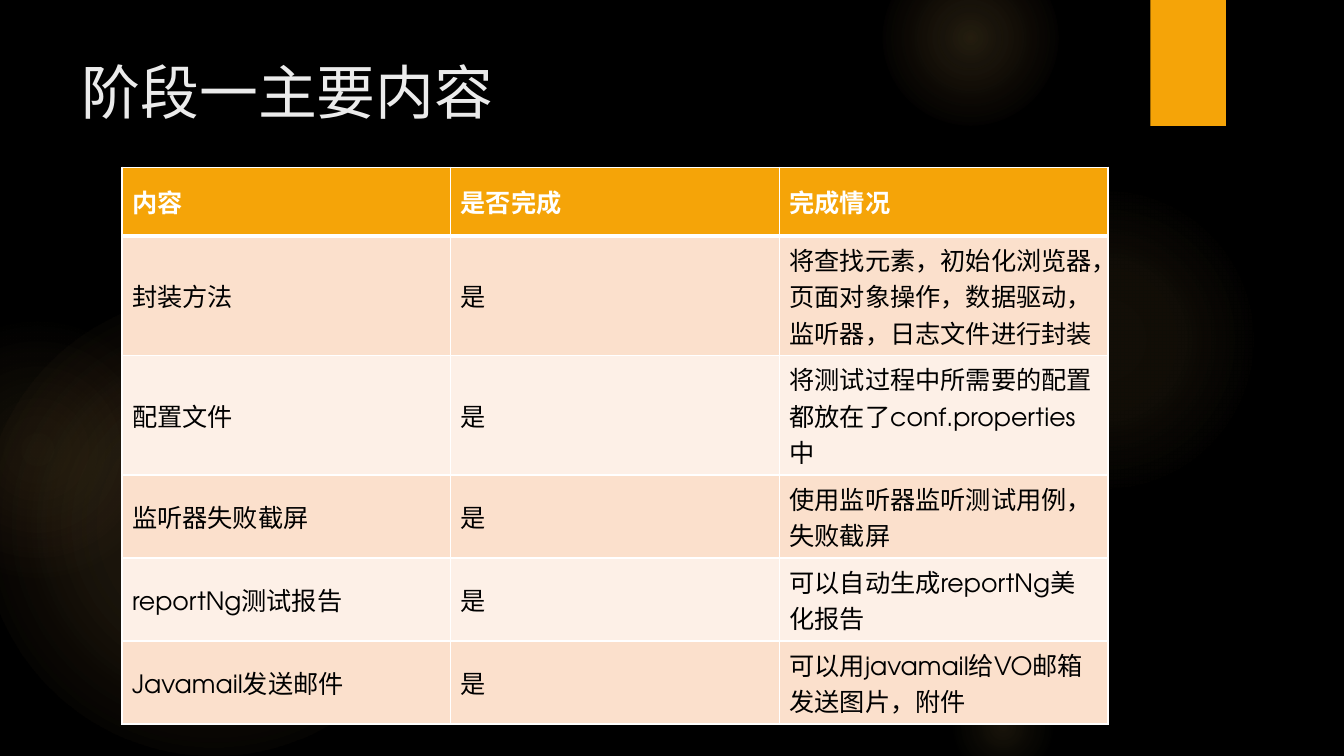
"""Build the dark slide that lists the work finished in stage one."""
import dataclasses
import typing

import pptx
import pptx.dml.color
import pptx.enum.shapes
import pptx.enum.text
import pptx.oxml
import pptx.oxml.ns
import pptx.util

Inches = pptx.util.Inches
FONT = "TeX Gyre Adventor"
COLORS = {
    "background": "000000",
    "accent": "F5A408",
    "glow": "FAC96A",
    "warm_glow": "F59B74",
    "title": "EBEBEB",
    "header_text": "FFFFFF",
    "body_text": "000000",
    "border": "FFFFFF",
    "odd_row": "FBE0CC",
    "even_row": "FDF0E7",
}


@dataclasses.dataclass
class Glow:
    """A round glow: place, diameter and gradient stops (position, opacity)."""
    left: float
    top: float
    diameter: float
    stops: tuple[tuple[int, int], ...]
    edge: str = "glow"


GLOWS = [
    Glow(-0.17, 2.92, 4.58, ((0, 11), (36, 10), (75, 0))),
    Glow(-0.92, 3.17, 2.58, ((0, 8), (36, 5), (71, 0)), "warm_glow"),
    Glow(9.41, 1.83, 3.08, ((0, 7), (36, 6), (69, 0))),
    Glow(8.75, -0.5, 1.75, ((0, 14), (36, 7), (73, 0))),
    Glow(9.41, 6.67, 1.08, ((0, 10), (31, 5), (66, 0))),
]
ROWS = [
    ("内容", "是否完成", "完成情况"),
    ("封装方法", "是", "将查找元素，初始化浏览器，页面对象操作，数据驱动，监听器，日志文件进行封装"),
    ("配置文件", "是", "将测试过程中所需要的配置都放在了conf.properties中"),
    ("监听器失败截屏", "是", "使用监听器监听测试用例，失败截屏"),
    ("reportNg测试报告", "是", "可以自动生成reportNg美化报告"),
    ("Javamail发送邮件", "是", "可以用javamail给VO邮箱发送图片，附件"),
]
ROW_HEIGHTS = [0.68, 1.07, 1.07, 0.75, 0.75, 0.75]
COLUMN_WIDTH = 3.26


def rgb(name: str) -> pptx.dml.color.RGBColor:
    """Return a named colour."""
    return pptx.dml.color.RGBColor.from_string(COLORS[name])


def set_values(target: typing.Any, values: dict[str, typing.Any]) -> None:
    """Set each named attribute of the target."""
    for name, value in values.items():
        setattr(target, name, value)


def paint(fill: typing.Any, color: str) -> None:
    """Give a fill one solid colour."""
    fill.solid()
    fill.fore_color.rgb = rgb(color)


def write(text_frame: typing.Any, text: str, size: int, color: str, bold: bool = False) -> None:
    """Write one left-aligned paragraph."""
    paragraph = text_frame.paragraphs[0]
    paragraph.alignment = pptx.enum.text.PP_ALIGN.LEFT
    run = paragraph.add_run()
    run.text = text
    set_values(run.font, {"name": FONT, "size": pptx.util.Pt(size), "bold": bold})
    run.font.color.rgb = rgb(color)


def add_plain_shape(slide: typing.Any, kind: typing.Any, *box: float) -> typing.Any:
    """Add a shape without line or shadow."""
    shape = slide.shapes.add_shape(kind, *map(Inches, box))
    shape.shadow.inherit = False
    shape.line.fill.background()
    return shape


def add_glow(slide: typing.Any, glow: Glow) -> None:
    """Add a circle that fades out from its centre."""
    shape = add_plain_shape(slide, pptx.enum.shapes.MSO_SHAPE.OVAL,
                            glow.left, glow.top, glow.diameter, glow.diameter)
    names = ["glow", "glow", glow.edge]
    stops = "".join(
        f'<a:gs pos="{position * 1000}"><a:srgbClr val="{COLORS[name]}">'
        f'<a:alpha val="{opacity * 1000}"/></a:srgbClr></a:gs>'
        for name, (position, opacity) in zip(names, glow.stops))
    gradient = pptx.oxml.parse_xml(
        f'<a:gradFill {pptx.oxml.ns.nsdecls("a")} rotWithShape="1"><a:gsLst>{stops}</a:gsLst>'
        '<a:path path="circle"><a:fillToRect l="50000" t="50000" r="50000" b="50000"/>'
        '</a:path></a:gradFill>')
    shape._element.spPr.find(pptx.oxml.ns.qn("a:prstGeom")).addnext(gradient)


def add_title(slide: typing.Any, text: str) -> None:
    """Place and fill the title placeholder."""
    title = slide.shapes.title
    set_values(title, {"left": Inches(0.71), "top": Inches(0.5),
                       "width": Inches(10.29), "height": Inches(1.53)})
    set_values(title.text_frame, {"word_wrap": True,
                                  "auto_size": pptx.enum.text.MSO_AUTO_SIZE.NONE,
                                  "vertical_anchor": pptx.enum.text.MSO_ANCHOR.TOP})
    write(title.text_frame, text, 42, "title")


def add_borders(cell: typing.Any, row: int) -> None:
    """Draw the cell borders, with a thick rule under the header."""
    thick = {0: "B", 1: "T"}.get(row)
    for side in "LRTB":
        width = pptx.util.Pt(3 if side == thick else 1)
        cell._tc.get_or_add_tcPr().append(pptx.oxml.parse_xml(
            f'<a:ln{side} {pptx.oxml.ns.nsdecls("a")} w="{width}"><a:solidFill>'
            f'<a:srgbClr val="{COLORS["border"]}"/></a:solidFill></a:ln{side}>'))


def add_content_table(slide: typing.Any) -> None:
    """Add the table of tasks with its header and banded rows."""
    column_count = len(ROWS[0])
    table = slide.shapes.add_table(
        len(ROWS), column_count, Inches(1.21), Inches(1.66),
        Inches(COLUMN_WIDTH * column_count), Inches(sum(ROW_HEIGHTS))).table
    for column in table.columns:
        column.width = Inches(COLUMN_WIDTH)
    for row, (texts, height) in enumerate(zip(ROWS, ROW_HEIGHTS)):
        table.rows[row].height = Inches(height)
        header = row == 0
        band = "accent" if header else "odd_row" if row % 2 else "even_row"
        for column, text in enumerate(texts):
            cell = table.cell(row, column)
            cell.vertical_anchor = pptx.enum.text.MSO_ANCHOR.MIDDLE
            add_borders(cell, row)
            paint(cell.fill, band)
            write(cell.text_frame, text, 18, "header_text" if header else "body_text", header)


def main() -> None:
    """Build and save the presentation."""
    presentation = pptx.Presentation()
    set_values(presentation, {"slide_width": Inches(13.33), "slide_height": Inches(7.5)})
    slide = presentation.slides.add_slide(presentation.slide_layouts.get_by_name("Title Only"))
    paint(slide.background.fill, "background")
    for glow in GLOWS:
        add_glow(slide, glow)
    ribbon = add_plain_shape(slide, pptx.enum.shapes.MSO_SHAPE.RECTANGLE, 11.41, 0, 0.75, 1.25)
    paint(ribbon.fill, "accent")
    add_title(slide, "阶段一主要内容")
    add_content_table(slide)
    presentation.save("out.pptx")


if __name__ == "__main__":
    main()
